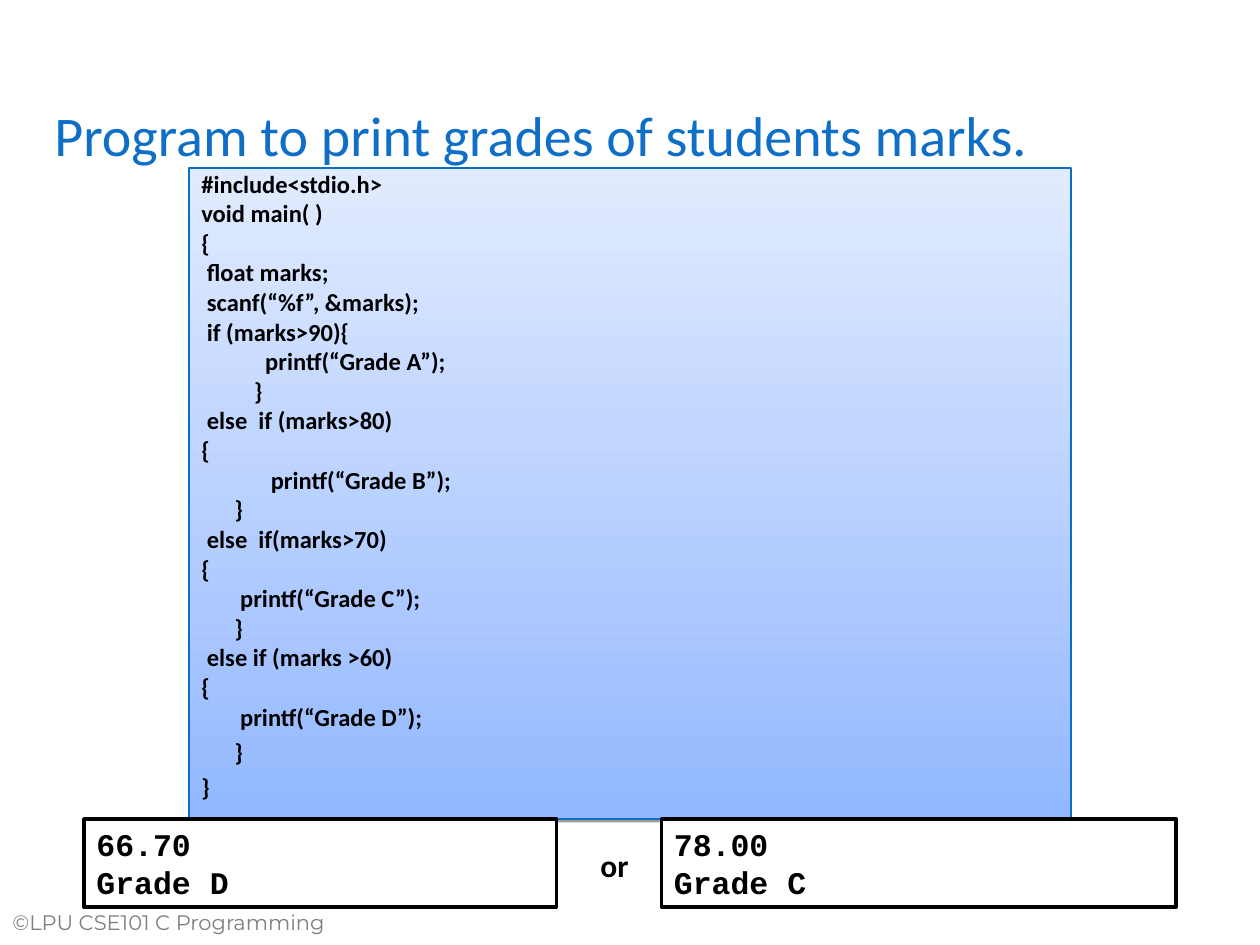
import pptx
import pptx.util
import pptx.dml.color
import pptx.enum.shapes
import pptx.enum.text
import pptx.oxml
import pptx.oxml.ns

Pt = pptx.util.Pt

FOOTER = ["©LPU CSE101 C Programming"]
TITLE = ["Program to print grades of students marks."]
CODE = [
    "#include<stdio.h>",
    "void main( )",
    "{",
    " float marks;",
    " scanf(“%f”, &marks);",
    " if (marks>90){",
    " \t   printf(“Grade A”);",
    " \t }",
    " else  if (marks>80)",
    "{",
    "\t    printf(“Grade B”);",
    "      }",
    " else  if(marks>70)",
    "{",
    "       printf(“Grade C”);",
    "      }",
    " else if (marks >60)",
    "{",
    "       printf(“Grade D”);",
    "      }",
    "}",
]
CLOSING_LINES = 2
OUTPUTS = [
    (48, 270, ["66.70", "Grade D"]),
    (378, 294, ["78.00", "Grade C"]),
]
SHADOW = (
    '<a:outerShdw xmlns:a="http://schemas.openxmlformats.org/drawingml/2006/main" '
    'blurRad="0" dist="20320" dir="5400000" rotWithShape="0">'
    '<a:srgbClr val="000000"><a:alpha val="38000"/></a:srgbClr></a:outerShdw>'
)


def rgb(value):
    return pptx.dml.color.RGBColor.from_string(value)


def write(sp, lines, size, font, color, bold=False):
    tf = sp.text_frame
    tf.word_wrap = True
    tf.vertical_anchor = pptx.enum.text.MSO_ANCHOR.TOP
    tf.text = "\n".join(lines)
    for p in tf.paragraphs:
        p.alignment = pptx.enum.text.PP_ALIGN.LEFT
        for r in p.runs:
            r.font.size = Pt(size)
            r.font.name = font
            r.font.bold = bold
            r.font.color.rgb = rgb(color)


def add_text(s, box, *style, **options):
    sp = s.shapes.add_textbox(*map(Pt, box))
    write(sp, *style, **options)
    return sp


def add_box(s, box, line, width):
    sp = s.shapes.add_shape(pptx.enum.shapes.MSO_SHAPE.RECTANGLE, *map(Pt, box))
    sp.shadow.inherit = False
    sp.line.color.rgb = rgb(line)
    sp.line.width = Pt(width)
    return sp


def add_code(s):
    sp = add_box(s, (108, 96, 504, 372), "0A6DC6", 0.75)
    sp.fill.gradient()
    sp.fill.gradient_angle = 90
    for stop, color in zip(sp.fill.gradient_stops, ("93B8FF", "E1EBFF")):
        stop.color.rgb = rgb(color)
    effects = sp.element.spPr.find(pptx.oxml.ns.qn("a:effectLst"))
    effects.append(pptx.oxml.parse_xml(SHADOW))
    write(sp, CODE, 14, "Calibri", "000000", bold=True)
    for i, p in enumerate(sp.text_frame.paragraphs):
        p.space_before = Pt(3.5 if i else 0)
        p.line_spacing = 0.8 if i < len(CODE) - CLOSING_LINES else 1.0
        pPr = p._p.get_or_add_pPr()
        pPr.set("marL", str(Pt(27)))
        pPr.set("indent", str(Pt(-27)))


def main():
    prs = pptx.Presentation()
    prs.slide_width, prs.slide_height = Pt(720), Pt(540)
    s = prs.slides.add_slide(prs.slide_layouts[6])
    add_text(s, (0, 516, 216, 30), FOOTER, 12, "Montserrat", "7F7F7F")
    add_text(s, (24, 54, 666, 54), TITLE, 32, "Calibri", "0F6FC6")
    add_code(s)
    for left, width, lines in OUTPUTS:
        sp = add_box(s, (left, 468, width, 50.4), "000000", 2)
        sp.fill.solid()
        sp.fill.fore_color.rgb = rgb("FFFFFF")
        write(sp, lines, 18, "Courier New", "000000", bold=True)
    sp = add_text(s, (336, 480, 34, 29), ["or"], 18, "Calibri", "000000", bold=True)
    sp.text_frame.word_wrap = False
    sp.text_frame.auto_size = pptx.enum.text.MSO_AUTO_SIZE.SHAPE_TO_FIT_TEXT
    prs.save("out.pptx")


if __name__ == "__main__":
    main()
